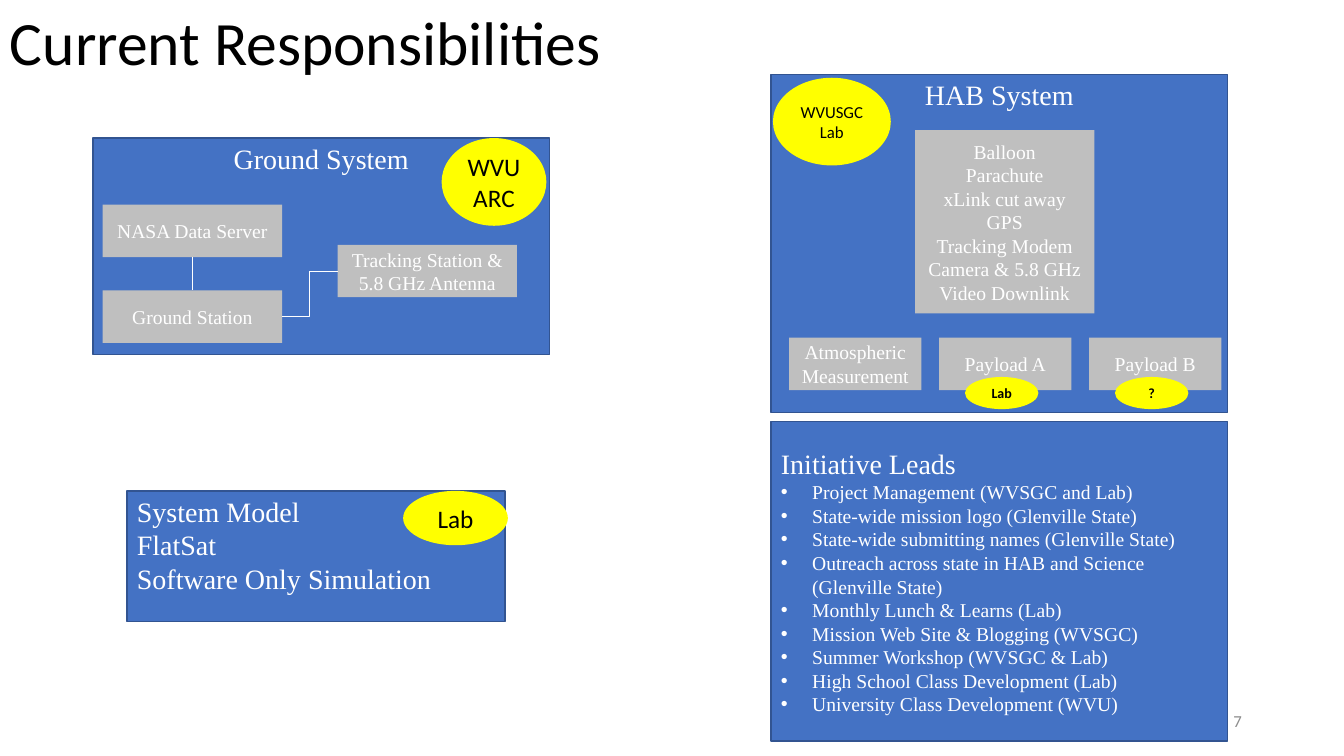
from lxml import etree
from pptx import Presentation
from pptx.dml.color import RGBColor
from pptx.enum import shapes, text
from pptx.oxml import ns
from pptx.util import Cm, Pt

SERIF, SANS = "Times New Roman", "Calibri"
WHITE, BLACK, BLUE, NAVY = "FFFFFF", "000000", "4472C4", "325491"
GREY, YELLOW, NUMBER_GREY = "BFBFBF", "FFFF00", "8C8C8C"
LEFT, CENTER, RIGHT = text.PP_ALIGN.LEFT, text.PP_ALIGN.CENTER, text.PP_ALIGN.RIGHT
TOP, MIDDLE = text.MSO_ANCHOR.TOP, text.MSO_ANCHOR.MIDDLE
RECTANGLE, OVAL = shapes.MSO_SHAPE.RECTANGLE, shapes.MSO_SHAPE.OVAL
BOTTOM_SITE, TOP_SITE, LEFT_SITE, RIGHT_SITE = 2, 0, 1, 3

LEADS = [
    "Project Management (WVSGC and Lab)",
    "State-wide mission logo (Glenville State)",
    "State-wide submitting names (Glenville State)",
    "Outreach across state in HAB and Science (Glenville State)",
    "Monthly Lunch & Learns (Lab)",
    "Mission Web Site & Blogging (WVSGC)",
    "Summer Workshop (WVSGC & Lab)",
    "High School Class Development (Lab)",
    "University Class Development (WVU)",
]


def color(value):
    return RGBColor.from_string(value)


def lengths(box):
    return [Cm(value) for value in box]


def add_bullet(paragraph):
    properties = paragraph._p.get_or_add_pPr()
    properties.set("marL", str(Cm(0.79)))
    properties.set("indent", str(-Cm(0.79)))
    font = etree.SubElement(properties, ns.qn("a:buFont"))
    font.set("typeface", "Arial")
    bullet = etree.SubElement(properties, ns.qn("a:buChar"))
    bullet.set("char", "•")


def write(frame, lines, size, font=SERIF, hue=WHITE, align=CENTER,
          anchor=MIDDLE, bold=False, bulleted=False):
    """Append lines to a text frame, filling its empty first paragraph first."""
    frame.word_wrap = True
    frame.vertical_anchor = anchor
    for line in lines:
        paragraph = frame.paragraphs[-1]
        if paragraph.text:
            paragraph = frame.add_paragraph()
        paragraph.text = line
        paragraph.alignment = align
        if bulleted:
            add_bullet(paragraph)
        paragraph.font.name = font
        paragraph.font.size = Pt(size)
        paragraph.font.bold = bold
        paragraph.font.color.rgb = color(hue)


def add_block(slide, kind, box, fill, line=None):
    shape = slide.shapes.add_shape(kind, *lengths(box))
    shape.shadow.inherit = False
    shape.fill.solid()
    shape.fill.fore_color.rgb = color(fill)
    if line:
        shape.line.color.rgb = color(line)
        shape.line.width = Pt(1)
    else:
        shape.line.fill.background()
    return shape


def add_panel(slide, box, headings, align=CENTER):
    panel = add_block(slide, RECTANGLE, box, BLUE, NAVY)
    panel.text_frame.margin_top = Cm(0.08)
    write(panel.text_frame, headings, 20, align=align, anchor=TOP)


def add_part(slide, box, *lines):
    part = add_block(slide, RECTANGLE, box, GREY)
    write(part.text_frame, lines, 14)
    return part


def add_owner(slide, box, lines, size, bold=False):
    owner = add_block(slide, OVAL, box, YELLOW)
    write(owner.text_frame, lines, size, SANS, BLACK, bold=bold)


def add_link(slide, kind, start, start_site, end, end_site):
    link = slide.shapes.add_connector(kind, 0, 0, 0, 0)
    link.begin_connect(start, start_site)
    link.end_connect(end, end_site)
    link.line.color.rgb = color(WHITE)
    link.line.width = Pt(0.5)
    etree.SubElement(link._element.spPr, ns.qn("a:effectLst"))


def add_label(slide, box, label, size, hue, align):
    frame = slide.shapes.add_textbox(*lengths(box)).text_frame
    write(frame, [label], size, SANS, hue, align)
    return frame


def add_ground_system(slide, box):
    left, top = box[:2]
    add_panel(slide, box, ["Ground System"])
    part_size = (4.52, 1.32)
    server = add_part(slide, (left + 0.25, top + 1.68, *part_size), "NASA Data Server")
    station = add_part(slide, (left + 0.25, top + 3.84, *part_size), "Ground Station")
    antenna = add_part(slide, (left + 6.17, top + 2.69, *part_size),
                       "Tracking Station & 5.8 GHz Antenna")
    add_link(slide, shapes.MSO_CONNECTOR.STRAIGHT, server, BOTTOM_SITE, station, TOP_SITE)
    add_link(slide, shapes.MSO_CONNECTOR.ELBOW, station, RIGHT_SITE, antenna, LEFT_SITE)
    add_owner(slide, (left + 8.79, top, 2.64, 2.21), ["WVU ARC"], 18)


def add_hab_system(slide, box):
    left, top = box[:2]
    add_panel(slide, box, ["HAB System"])
    add_part(slide, (left + 3.63, top + 1.4, 4.52, 4.62),
             "Balloon", "Parachute", "xLink cut away", "GPS",
             "Tracking Modem", "Camera & 5.8 GHz Video Downlink")
    add_owner(slide, (left + 0.05, top + 0.08, 2.97, 2.21), ["WVUSGC", "Lab"], 12)

    # Payload row, with its owners where assigned
    payloads = [("Atmospheric Measurement", None), ("Payload A", "Lab"), ("Payload B", "?")]
    for index, (payload, owner) in enumerate(payloads):
        payload_left = left + 0.46 + index * 3.78
        add_part(slide, (payload_left, top + 6.63, 3.33, 1.32), payload)
        if owner:
            add_owner(slide, (payload_left + 0.65, top + 7.62, 1.85, 0.81),
                      [owner], 10, bold=True)


def add_system_model(slide, box):
    left, top = box[:2]
    add_panel(slide, box, ["System Model", "FlatSat", "Software Only Simulation"], LEFT)
    add_owner(slide, (left + 6.96, top, 2.64, 1.37), ["Lab"], 18)


def add_initiative_leads(slide, box):
    frame = add_block(slide, RECTANGLE, box, BLUE, NAVY).text_frame
    write(frame, ["Initiative Leads"], 20, align=LEFT)
    write(frame, LEADS, 14, align=LEFT, bulleted=True)


def main():
    presentation = Presentation()
    presentation.slide_width, presentation.slide_height = Cm(33.87), Cm(19.05)
    slide = presentation.slides.add_slide(presentation.slide_layouts[6])

    # Title
    title = add_label(slide, (0, 0, 29.21, 2.29), "Current Responsibilities", 44, BLACK, LEFT)
    title.paragraphs[0].line_spacing = 0.9

    # Systems and leads
    add_ground_system(slide, (2.34, 3.48, 11.51, 5.46))
    add_hab_system(slide, (19.43, 1.88, 11.51, 8.51))
    add_system_model(slide, (3.2, 12.37, 9.53, 3.3))
    add_initiative_leads(slide, (19.43, 10.62, 11.51, 8.05))

    # Slide number
    add_label(slide, (23.93, 17.65, 7.62, 1.02), "7", 12, NUMBER_GREY, RIGHT)

    presentation.save("out.pptx")


if __name__ == "__main__":
    main()
